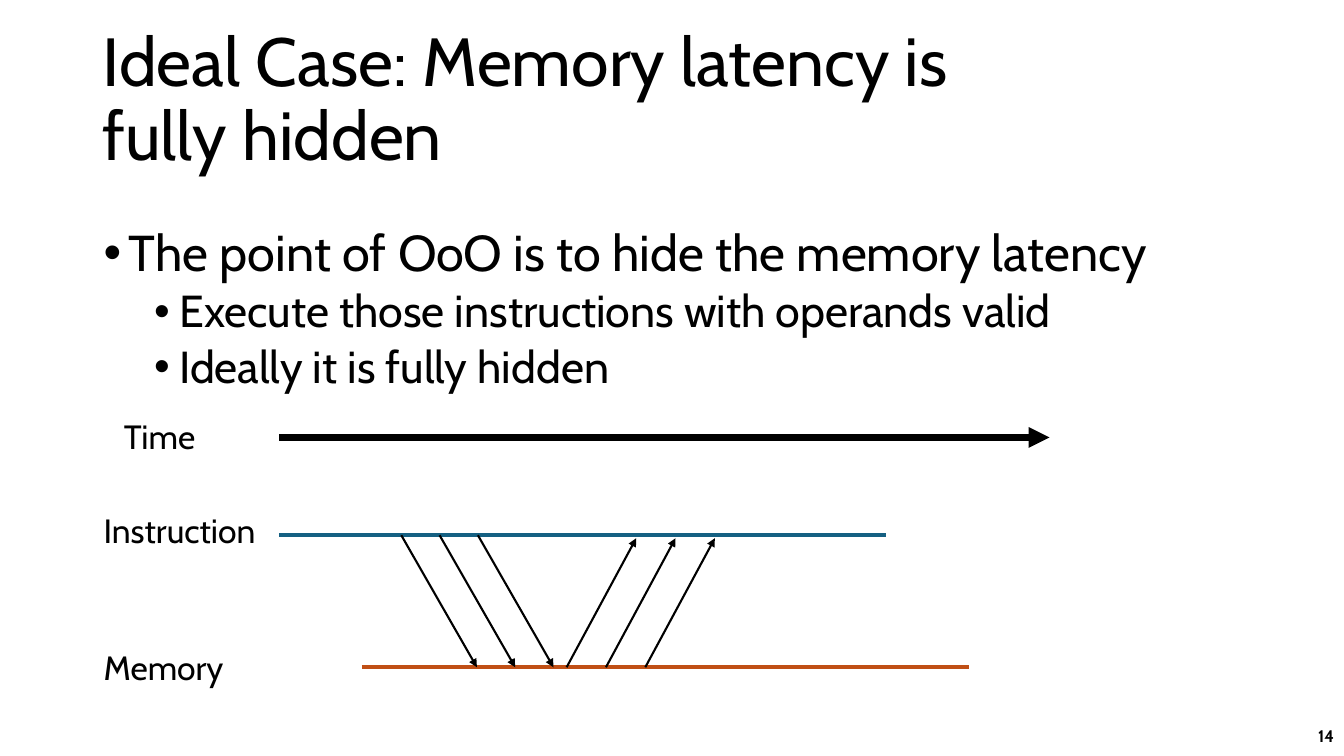
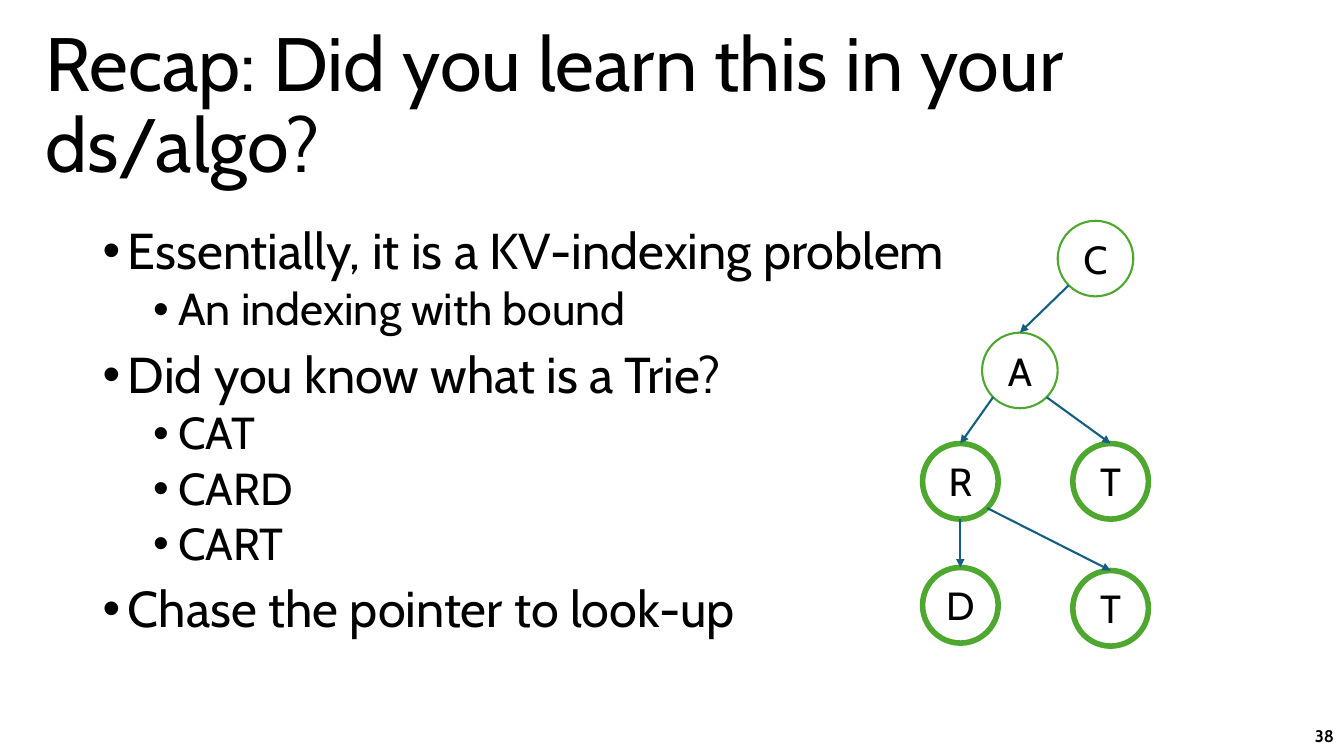
"""Build two lecture slides: hidden memory latency and a trie recap."""
from dataclasses import dataclass

from lxml.etree import SubElement
from pptx import Presentation
from pptx.dml.color import RGBColor
from pptx.enum.shapes import MSO_CONNECTOR as Connector, MSO_SHAPE as Preset
from pptx.enum.text import MSO_ANCHOR as Anchor, PP_ALIGN as Align
from pptx.oxml.ns import qn
from pptx.shapes.autoshape import Shape
from pptx.shapes.connector import Connector as Line
from pptx.slide import Slide
from pptx.text.text import _Paragraph as Paragraph
from pptx.util import Inches, Pt

FONT = "Cabin"
BLACK = RGBColor(0x00, 0x00, 0x00)
WHITE = RGBColor(0xFF, 0xFF, 0xFF)
BLUE = RGBColor(0x15, 0x60, 0x82)
ORANGE = RGBColor(0xC0, 0x4F, 0x15)
GREEN = RGBColor(0x4E, 0xA7, 0x2E)

NODE_SIZE = 0.75
DIAGONAL = NODE_SIZE / 2 * 0.5 ** 0.5


@dataclass(frozen=True)
class Box:
    left: float
    top: float
    width: float
    height: float


@dataclass(frozen=True)
class Bullet:
    text: str
    level: int = 0


@dataclass(frozen=True)
class BulletStyle:
    size: float
    indent: float
    space_before: float


@dataclass(frozen=True)
class Node:
    letter: str
    left: float
    top: float
    ends_word: bool = False


@dataclass(frozen=True)
class Edge:
    parent: str
    child: str
    side: int


BULLET_STYLES = (BulletStyle(36, 0.25, 10), BulletStyle(32, 0.75, 5))

LATENCY_BULLETS = (
    Bullet("The point of OoO is to hide the memory latency"),
    Bullet("Execute those instructions with operands valid", 1),
    Bullet("Ideally it is fully hidden", 1),
)
TIMELINE_LABELS = (
    ("Instruction", Box(0.93, 5.01, 1.78, 0.5)),
    ("Memory", Box(0.93, 6.37, 1.39, 0.5)),
    ("Time", Box(1.13, 4.08, 0.91, 0.5)),
)

TRIE_BULLETS = (
    Bullet("Essentially, it is a KV-indexing problem"),
    Bullet("An indexing with bound", 1),
    Bullet("Did you know what is a Trie?"),
    Bullet("CAT", 1),
    Bullet("CARD", 1),
    Bullet("CART", 1),
    Bullet("Chase the pointer to look-up"),
)
TRIE_NODES = {
    "C": Node("C", 10.49, 2.19),
    "CA": Node("A", 9.74, 3.3),
    "CAR": Node("R", 9.15, 4.4, True),
    "CARD": Node("D", 9.15, 5.63, True),
    "CAT": Node("T", 10.64, 4.4, True),
    "CART": Node("T", 10.64, 5.66, True),
}
TRIE_EDGES = (
    Edge("C", "CA", -1),
    Edge("CA", "CAR", -1),
    Edge("CAR", "CARD", 0),
    Edge("CA", "CAT", 1),
    Edge("CAR", "CART", 1),
)


def add_run(paragraph: Paragraph, text: str, size: float, bold: bool = False) -> None:
    """Add one black run in the deck font."""
    run = paragraph.add_run()
    run.text = text
    run.font.name = FONT
    run.font.size = Pt(size)
    run.font.bold = bold
    run.font.color.rgb = BLACK


def add_text_box(slide: Slide, box: Box, wrap: bool = True, anchor: Anchor = Anchor.TOP) -> Shape:
    """Add an empty text box."""
    shape = slide.shapes.add_textbox(
        Inches(box.left), Inches(box.top), Inches(box.width), Inches(box.height))
    shape.text_frame.word_wrap = wrap
    shape.text_frame.vertical_anchor = anchor
    return shape


def add_title(slide: Slide, text: str, box: Box, size: float) -> None:
    """Add the slide title."""
    paragraph = add_text_box(slide, box, anchor=Anchor.MIDDLE).text_frame.paragraphs[0]
    paragraph.line_spacing = 0.9
    add_run(paragraph, text, size)


def add_slide_number(slide: Slide, number: int) -> None:
    """Add the number in the bottom right corner."""
    shape = add_text_box(slide, Box(10.33, 7.1, 3, 0.4), anchor=Anchor.MIDDLE)
    paragraph = shape.text_frame.paragraphs[0]
    paragraph.alignment = Align.RIGHT
    add_run(paragraph, str(number), 12, bold=True)


def add_bullets(slide: Slide, bullets: tuple[Bullet, ...], box: Box) -> None:
    """Add a bulleted list with two levels."""
    text_frame = add_text_box(slide, box).text_frame
    for index, bullet in enumerate(bullets):
        paragraph = text_frame.add_paragraph() if index else text_frame.paragraphs[0]
        style = BULLET_STYLES[bullet.level]
        paragraph.level = bullet.level
        paragraph.line_spacing = 0.9
        paragraph.space_before = Pt(style.space_before)
        properties = paragraph._p.get_or_add_pPr()
        properties.set("marL", str(Inches(style.indent)))
        properties.set("indent", str(Inches(-0.25)))
        SubElement(properties, qn("a:buFont"), typeface="Arial")
        SubElement(properties, qn("a:buChar"), char="•")
        add_run(paragraph, bullet.text, style.size)


def add_line(slide: Slide, start: tuple[float, float], end: tuple[float, float],
             color: RGBColor, width: float, arrow: bool = False) -> Line:
    """Add a straight line, with an arrowhead at its end if asked."""
    line = slide.shapes.add_connector(
        Connector.STRAIGHT, *(Inches(length) for length in start + end))
    line.line.color.rgb = color
    line.line.width = Pt(width)
    if arrow:
        SubElement(line.line._get_or_add_ln(), qn("a:tailEnd"), type="triangle")
    SubElement(line._element.spPr, qn("a:effectLst"))
    return line


def add_node(slide: Slide, node: Node) -> Shape:
    """Add a trie node; a thick ring marks the end of a word."""
    shape = slide.shapes.add_shape(
        Preset.OVAL, Inches(node.left), Inches(node.top), Inches(NODE_SIZE), Inches(NODE_SIZE))
    shape.shadow.inherit = False
    shape.fill.solid()
    shape.fill.fore_color.rgb = WHITE
    shape.line.color.rgb = GREEN
    shape.line.width = Pt(4 if node.ends_word else 1.5)
    shape.text_frame.vertical_anchor = Anchor.MIDDLE
    paragraph = shape.text_frame.paragraphs[0]
    paragraph.alignment = Align.CENTER
    add_run(paragraph, node.letter, 28)
    return shape


def add_edge(slide: Slide, edge: Edge, shapes: dict[str, Shape]) -> None:
    """Add an arrow from the lower rim of a parent to the top of its child."""
    parent, child = TRIE_NODES[edge.parent], TRIE_NODES[edge.child]
    radius = NODE_SIZE / 2
    drop = DIAGONAL if edge.side else radius
    start = (parent.left + radius + edge.side * DIAGONAL, parent.top + radius + drop)
    line = add_line(slide, start, (child.left + radius, child.top), BLUE, 1.5, arrow=True)
    line.end_connect(shapes[edge.child], 0)


def add_slide(presentation: Presentation, title: str, title_box: Box, title_size: float,
              bullets: tuple[Bullet, ...], body_box: Box, number: int) -> Slide:
    """Add a slide with its title, bullets and number."""
    slide = presentation.slides.add_slide(presentation.slide_layouts[6])
    add_title(slide, title, title_box, title_size)
    add_bullets(slide, bullets, body_box)
    add_slide_number(slide, number)
    return slide


def add_timeline(slide: Slide) -> None:
    """Draw the memory requests and replies over time."""
    instruction_y, memory_y = 5.31, 6.62
    add_line(slide, (2.77, instruction_y), (8.79, instruction_y), BLUE, 3)
    add_line(slide, (3.59, memory_y), (9.61, memory_y), ORANGE, 3)
    for index in range(3):
        request_x = 3.98 + 0.38 * index
        reply_x = 5.62 + 0.39 * index
        add_line(slide, (request_x, instruction_y), (request_x + 0.75, memory_y),
                 BLACK, 1.5, arrow=True)
        add_line(slide, (reply_x, memory_y), (reply_x + 0.69, instruction_y + 0.03),
                 BLACK, 1.5, arrow=True)
    add_line(slide, (2.77, 4.34), (10.41, 4.34), BLACK, 5, arrow=True)
    for text, box in TIMELINE_LABELS:
        add_run(add_text_box(slide, box, wrap=False).text_frame.paragraphs[0], text, 24)


def add_trie(slide: Slide) -> None:
    """Draw the trie nodes and their edges."""
    shapes = {prefix: add_node(slide, node) for prefix, node in TRIE_NODES.items()}
    for edge in TRIE_EDGES:
        add_edge(slide, edge, shapes)


def main() -> None:
    """Build and save the presentation."""
    presentation = Presentation()
    presentation.slide_width = Inches(13.33)
    presentation.slide_height = Inches(7.5)
    latency_slide = add_slide(
        presentation, "Ideal Case: Memory latency is fully hidden",
        Box(0.92, 0.18, 9.12, 1.65), 48.6, LATENCY_BULLETS, Box(0.93, 2.21, 11.5, 2.02), 14)
    add_timeline(latency_slide)
    trie_slide = add_slide(
        presentation, "Recap: Did you learn this in your ds/algo?",
        Box(0.35, 0.34, 12.64, 1.45), 54, TRIE_BULLETS, Box(0.92, 2.19, 11.5, 4.76), 38)
    add_trie(trie_slide)
    presentation.save("out.pptx")


if __name__ == "__main__":
    main()
